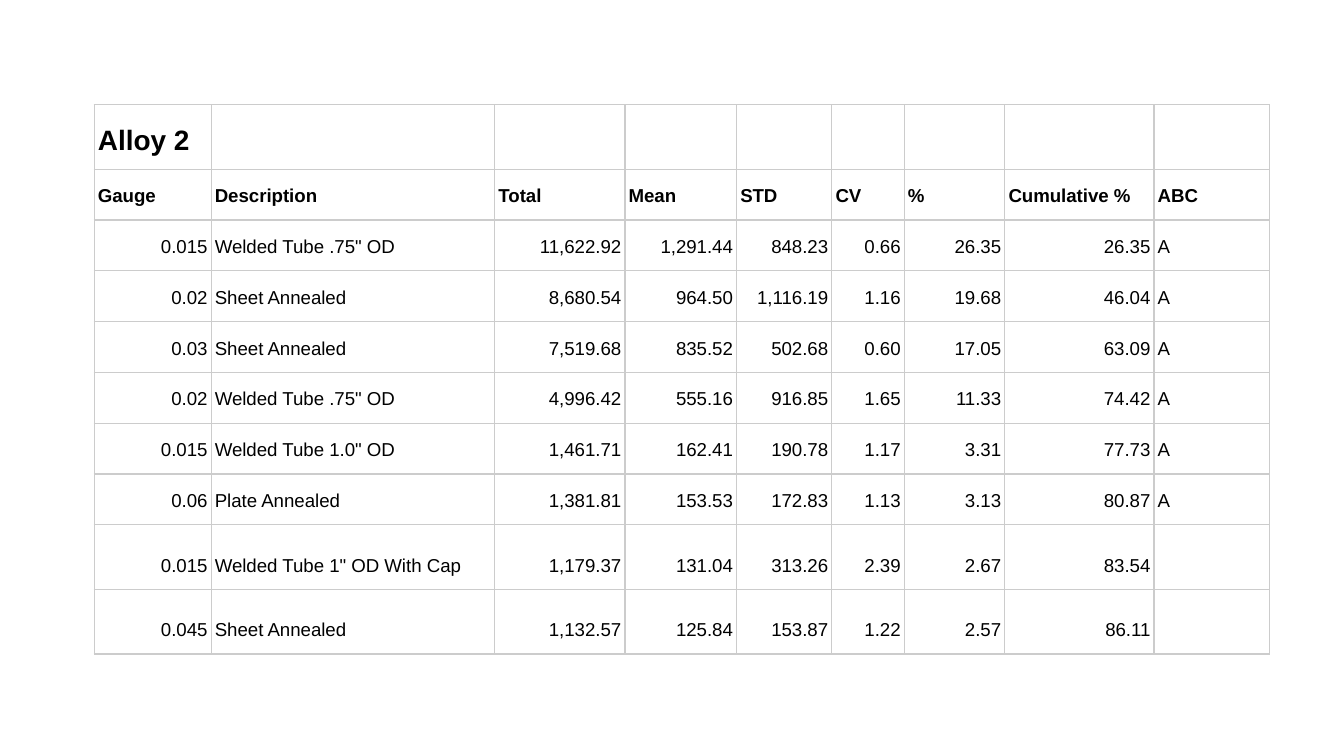
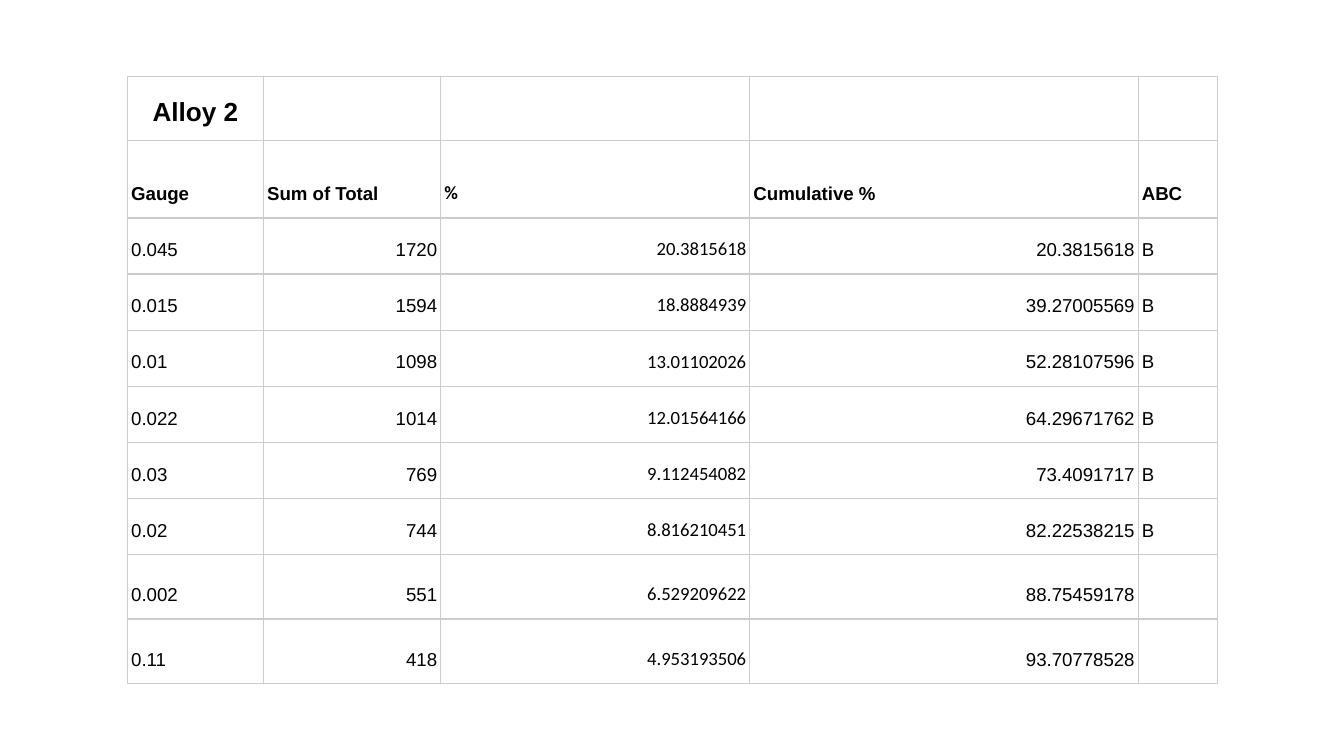
import pptx
import pptx.dml.color
import pptx.enum.text
import pptx.oxml
import pptx.oxml.ns
import pptx.util

Cm, Pt = pptx.util.Cm, pptx.util.Pt
RGB = pptx.dml.color.RGBColor.from_string
COLORS = {"text": "000000", "grid": "CCCCCC", "white": "FFFFFF"}
ALIGN = {
    "l": pptx.enum.text.PP_ALIGN.LEFT,
    "c": pptx.enum.text.PP_ALIGN.CENTER,
    "r": pptx.enum.text.PP_ALIGN.RIGHT,
}


def set_borders(cell):
    tcPr = cell._tc.get_or_add_tcPr()
    for i, side in enumerate(("lnL", "lnR", "lnT", "lnB")):
        ln = pptx.oxml.parse_xml(
            f'<a:{side} {pptx.oxml.ns.nsdecls("a")} w="{Pt(0.75)}"><a:solidFill>'
            f'<a:srgbClr val="{COLORS["grid"]}"/></a:solidFill></a:{side}>')
        tcPr.insert(i, ln)


def set_text(cell, text, align, size, bold, font, spacing):
    cell.vertical_anchor = pptx.enum.text.MSO_ANCHOR.BOTTOM
    cell.margin_left = cell.margin_right = Cm(0.07)
    cell.margin_top = cell.margin_bottom = Cm(0.25)
    cell.text_frame.text = text
    p = cell.text_frame.paragraphs[0]
    p.alignment = ALIGN[align]
    p.line_spacing = spacing
    r = p.runs[0]
    r.font.size = Pt(size)
    r.font.bold = bold
    r.font.name = font
    r.font.color.rgb = RGB(COLORS["text"])


# One entry per slide; "align" holds one letter per column of the body
tables = [
    {
        "left": 1.78, "top": 1.98, "title_size": 15, "title_align": "l",
        "cols": [2.21, 5.36, 2.46, 2.11, 1.8, 1.37, 1.9, 2.82, 2.18],
        "rows": [1.22] + [0.96] * 7 + [1.22] * 2,
        "align": "rlrrrrrrl", "calibri_col": None, "white_cols": 0,
        "header": ["Gauge", "Description", "Total", "Mean", "STD", "CV", "%",
                   "Cumulative %", "ABC"],
        "body": [
            ["0.015", 'Welded Tube .75" OD', "11,622.92", "1,291.44", "848.23", "0.66", "26.35", "26.35", "A"],
            ["0.02", "Sheet Annealed", "8,680.54", "964.50", "1,116.19", "1.16", "19.68", "46.04", "A"],
            ["0.03", "Sheet Annealed", "7,519.68", "835.52", "502.68", "0.60", "17.05", "63.09", "A"],
            ["0.02", 'Welded Tube .75" OD', "4,996.42", "555.16", "916.85", "1.65", "11.33", "74.42", "A"],
            ["0.015", 'Welded Tube 1.0" OD', "1,461.71", "162.41", "190.78", "1.17", "3.31", "77.73", "A"],
            ["0.06", "Plate Annealed", "1,381.81", "153.53", "172.83", "1.13", "3.13", "80.87", "A"],
            ["0.015", 'Welded Tube 1" OD With Cap', "1,179.37", "131.04", "313.26", "2.39", "2.67", "83.54", ""],
            ["0.045", "Sheet Annealed", "1,132.57", "125.84", "153.87", "1.22", "2.57", "86.11", ""],
        ],
    },
    {
        "left": 2.41, "top": 1.45, "title_size": 14, "title_align": "c",
        "cols": [2.57, 3.35, 5.84, 7.34, 1.5],
        "rows": [1.21, 1.46] + [1.06] * 6 + [1.22] * 2,
        "align": "lrrrl", "calibri_col": 2, "white_cols": 2,
        "header": ["Gauge", "Sum of Total", "%", "Cumulative %", "ABC"],
        "body": [
            ["0.045", "1720", "20.3815618", "20.3815618", "B"],
            ["0.015", "1594", "18.8884939", "39.27005569", "B"],
            ["0.01", "1098", "13.01102026", "52.28107596", "B"],
            ["0.022", "1014", "12.01564166", "64.29671762", "B"],
            ["0.03", "769", "9.112454082", "73.4091717", "B"],
            ["0.02", "744", "8.816210451", "82.22538215", "B"],
            ["0.002", "551", "6.529209622", "88.75459178", ""],
            ["0.11", "418", "4.953193506", "93.70778528", ""],
        ],
    },
]

prs = pptx.Presentation()
prs.slide_width, prs.slide_height = Cm(25.4), Cm(14.29)

for t in tables:
    s = prs.slides.add_slide(prs.slide_layouts[6])
    s.background.fill.solid()
    s.background.fill.fore_color.rgb = RGB(COLORS["white"])

    # Table grid
    sp = s.shapes.add_table(len(t["rows"]), len(t["cols"]), Cm(t["left"]), Cm(t["top"]),
                            Cm(sum(t["cols"])), Cm(sum(t["rows"])))
    table = sp.table
    table.first_row = table.horz_banding = False
    for col, width in zip(table.columns, t["cols"]):
        col.width = Cm(width)
    for row, height in zip(table.rows, t["rows"]):
        row.height = Cm(height)

    # Title row, header row and body
    title = ["Alloy 2"] + [""] * (len(t["cols"]) - 1)
    for i, values in enumerate([title, t["header"]] + t["body"]):
        for j, text in enumerate(values):
            cell = table.cell(i, j)
            if i > 0 and j < t["white_cols"]:
                cell.fill.solid()
                cell.fill.fore_color.rgb = RGB(COLORS["white"])
            else:
                cell.fill.background()
            set_borders(cell)
            if text:
                align = t["title_align"] if i == 0 else "l" if i == 1 else t["align"][j]
                size = t["title_size"] if i == 0 else 10
                font = "Calibri" if j == t["calibri_col"] else "Arial"
                set_text(cell, text, align, size, i < 2, font, 1.15)

prs.save("out.pptx")
